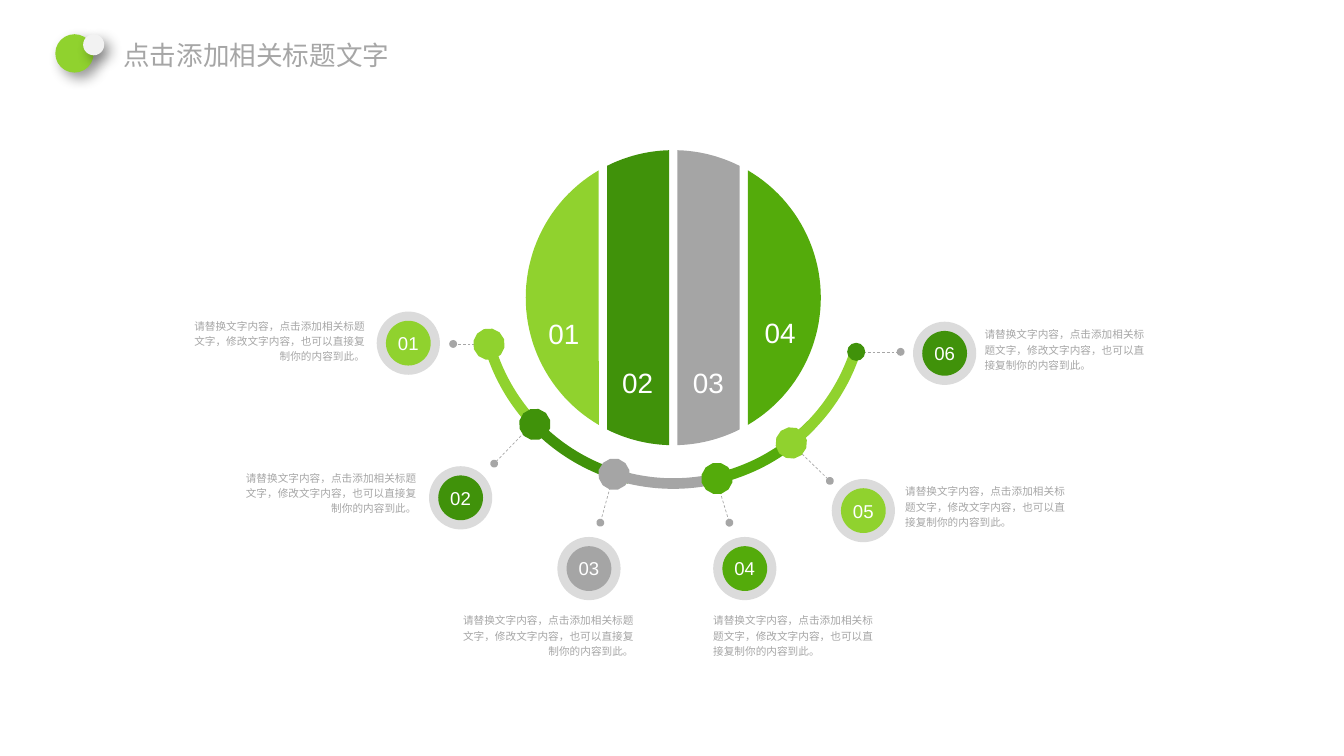
from dataclasses import dataclass
from math import acos, cos, pi, radians, sin
from typing import Optional

from lxml.etree import SubElement
from pptx import Presentation
from pptx.dml.color import RGBColor
from pptx.enum.dml import MSO_LINE
from pptx.enum.shapes import MSO_CONNECTOR, MSO_SHAPE
from pptx.enum.text import MSO_ANCHOR, PP_ALIGN
from pptx.oxml.ns import qn
from pptx.util import Cm, Pt

LIME = RGBColor(0x90, 0xD2, 0x2E)
FOREST = RGBColor(0x40, 0x92, 0x0A)
GREEN = RGBColor(0x54, 0xAB, 0x0B)
GREY = RGBColor(0xA5, 0xA5, 0xA5)
TEXT_GREY = RGBColor(0xA6, 0xA6, 0xA6)
RING_GREY = RGBColor(0xDB, 0xDB, 0xDB)
PALE = RGBColor(0xF2, 0xF2, 0xF2)
WHITE = RGBColor(0xFF, 0xFF, 0xFF)

CAPTION = "请替换文字内容，点击添加相关标题文字，修改文字内容，也可以直接复制你的内容到此。"

Point = tuple[float, float]

# All lengths below are centimetres, angles are degrees clockwise from the right.
GLOBE_CENTRE, GLOBE_RADIUS = (17.89, 7.91), 3.92
SLICE_PITCH, SLICE_GAP = 1.87, 0.22
ARC_CENTRE, ARC_RADIUS = (17.89, 7.76), 5.09
RING_SIZE, DISC_SIZE, END_NODE_SIZE = 1.68, 1.19, 0.48
STEPS = 24


@dataclass(frozen=True)
class Slice:
    number: str
    color: RGBColor
    label_centre: Point


@dataclass(frozen=True)
class Milestone:
    number: str
    color: RGBColor
    centre: Point
    link_start: Point
    link_end: Point
    caption_at: Point
    on_left: bool
    arc: Optional[tuple[float, float]] = None


SLICES = [
    Slice("01", LIME, (14.98, 8.78)),
    Slice("02", FOREST, (16.94, 10.07)),
    Slice("03", GREY, (18.82, 10.07)),
    Slice("04", GREEN, (20.73, 8.75)),
]

MILESTONES = [
    Milestone("01", LIME, (10.85, 9.12), (13.13, 9.14), (12.04, 9.14), (4.9, 8.43), True, (164.2, 134.3)),
    Milestone("02", FOREST, (12.24, 13.23), (14.02, 11.4), (13.13, 12.32), (6.27, 12.47), True, (136.3, 103.3)),
    Milestone("03", GREY, (15.65, 15.11), (16.28, 12.7), (15.95, 13.89), (12.04, 16.26), True, (108, 74.7)),
    Milestone("04", GREEN, (19.79, 15.11), (19.02, 12.7), (19.38, 13.89), (18.95, 16.26), False, (76.8, 43.9)),
    Milestone("05", LIME, (22.94, 13.57), (21.13, 11.89), (22.05, 12.78), (24.05, 12.83), False, (52, 17.8)),
    Milestone("06", FOREST, (25.1, 9.39), (22.81, 9.35), (23.93, 9.35), (26.16, 8.66), False),
]


def arc_points(centre: Point, radius: float, start: float, end: float) -> list[Point]:
    """Points along a circle, with angles in radians."""
    angles = [start + (end - start) * i / STEPS for i in range(STEPS + 1)]
    return [(centre[0] + radius * cos(a), centre[1] + radius * sin(a)) for a in angles]


def add_outline(shapes, points: list[Point], close: bool):
    corners = [(Cm(x), Cm(y)) for x, y in points]
    builder = shapes.build_freeform(*corners[0])
    builder.add_line_segments(corners[1:], close=close)
    outline = builder.convert_to_shape()
    outline.shadow.inherit = False
    return outline


def paint(shape, color: RGBColor) -> None:
    shape.fill.solid()
    shape.fill.fore_color.rgb = color
    shape.line.fill.background()


def add_end_dot(shape, end: str) -> None:
    """Put an oval at the headEnd or tailEnd of a line."""
    SubElement(shape._element.spPr.find(qn("a:ln")), qn(f"a:{end}"), type="oval")


def add_circle(shapes, centre: Point, size: float, color: RGBColor):
    circle = shapes.add_shape(MSO_SHAPE.OVAL, Cm(centre[0] - size / 2), Cm(centre[1] - size / 2),
                              Cm(size), Cm(size))
    circle.shadow.inherit = False
    paint(circle, color)
    return circle


def cast_shadow(shape) -> None:
    effects = shape._element.spPr.find(qn("a:effectLst"))
    shadow = SubElement(effects, qn("a:outerShdw"), blurRad=str(int(Pt(10))), dist=str(int(Pt(6))),
                        dir=str(45 * 60000), algn="tl", rotWithShape="0")
    black = SubElement(shadow, qn("a:srgbClr"), val="000000")
    SubElement(black, qn("a:alpha"), val="40000")


def write(shape, text: str, size: float, color: RGBColor, align: PP_ALIGN,
          anchor: MSO_ANCHOR = MSO_ANCHOR.TOP, spacing: float = 1.0, margins: Point = (0, 0)) -> None:
    frame = shape.text_frame
    frame.word_wrap = True
    frame.vertical_anchor = anchor
    frame.margin_left = frame.margin_right = Cm(margins[0])
    frame.margin_top = frame.margin_bottom = Cm(margins[1])
    paragraph = frame.paragraphs[0]
    paragraph.text = text
    paragraph.alignment = align
    paragraph.line_spacing = spacing
    paragraph.font.name = "Arial"
    paragraph.font.size = Pt(size)
    paragraph.font.color.rgb = color


def add_text_box(shapes, at: Point, width: float, height: float):
    return shapes.add_textbox(Cm(at[0]), Cm(at[1]), Cm(width), Cm(height))


def add_heading(shapes) -> None:
    for centre, size, color in [((1.98, 1.42), 1.02, LIME), ((2.49, 1.19), 0.56, PALE)]:
        cast_shadow(add_circle(shapes, centre, size, color))
    heading = add_text_box(shapes, (3, 0.91), 8.51, 1.02)
    write(heading, "点击添加相关标题文字", 20, TEXT_GREY, PP_ALIGN.LEFT, margins=(0.28, 0.13))


def add_globe(shapes) -> None:
    half_gap = SLICE_GAP / 2
    cuts = [-SLICE_PITCH, 0, SLICE_PITCH]
    lefts = [-GLOBE_RADIUS] + [cut + half_gap for cut in cuts]
    rights = [cut - half_gap for cut in cuts] + [GLOBE_RADIUS]
    for part, left, right in zip(SLICES, lefts, rights):
        start, end = acos(left / GLOBE_RADIUS), acos(right / GLOBE_RADIUS)
        top = arc_points(GLOBE_CENTRE, GLOBE_RADIUS, 2 * pi - start, 2 * pi - end)
        bottom = arc_points(GLOBE_CENTRE, GLOBE_RADIUS, end, start)
        paint(add_outline(shapes, top + bottom, close=True), part.color)
        x, y = part.label_centre
        label = add_text_box(shapes, (x - 0.71, y - 0.45), 1.42, 0.9)
        write(label, part.number, 21, WHITE, PP_ALIGN.CENTER, MSO_ANCHOR.MIDDLE, 1.2)


def add_link(shapes, start: Point, end: Point) -> None:
    link = shapes.add_connector(MSO_CONNECTOR.STRAIGHT, Cm(start[0]), Cm(start[1]),
                                Cm(end[0]), Cm(end[1]))
    link.line.width = Pt(0.5)
    link.line.color.rgb = TEXT_GREY
    link.line.dash_style = MSO_LINE.DASH
    add_end_dot(link, "tailEnd")
    SubElement(link._element.spPr, qn("a:effectLst"))


def add_arc(shapes, start: float, end: float, color: RGBColor) -> None:
    points = arc_points(ARC_CENTRE, ARC_RADIUS, radians(start), radians(end))
    arc = add_outline(shapes, points, close=False)
    arc.fill.background()
    arc.line.width = Pt(8)
    arc.line.color.rgb = color
    add_end_dot(arc, "headEnd")


def add_milestone(shapes, milestone: Milestone) -> None:
    add_link(shapes, milestone.link_start, milestone.link_end)
    if milestone.arc:
        add_arc(shapes, *milestone.arc, milestone.color)
    else:
        add_circle(shapes, (22.75, 9.35), END_NODE_SIZE, milestone.color)
    add_circle(shapes, milestone.centre, RING_SIZE, RING_GREY)
    disc = add_circle(shapes, milestone.centre, DISC_SIZE, milestone.color)
    write(disc, milestone.number, 14, WHITE, PP_ALIGN.CENTER, MSO_ANCHOR.MIDDLE)
    width, height, align = (4.8, 1.37, PP_ALIGN.RIGHT) if milestone.on_left else (4.42, 1.24, PP_ALIGN.LEFT)
    caption = add_text_box(shapes, milestone.caption_at, width, height)
    write(caption, CAPTION, 8, TEXT_GREY, align, spacing=1.2)


def main() -> None:
    presentation = Presentation()
    presentation.slide_width, presentation.slide_height = Cm(35.71), Cm(20.09)
    shapes = presentation.slides.add_slide(presentation.slide_layouts[6]).shapes
    add_heading(shapes)
    add_globe(shapes)
    for milestone in MILESTONES:
        add_milestone(shapes, milestone)
    presentation.save("out.pptx")


if __name__ == "__main__":
    main()
